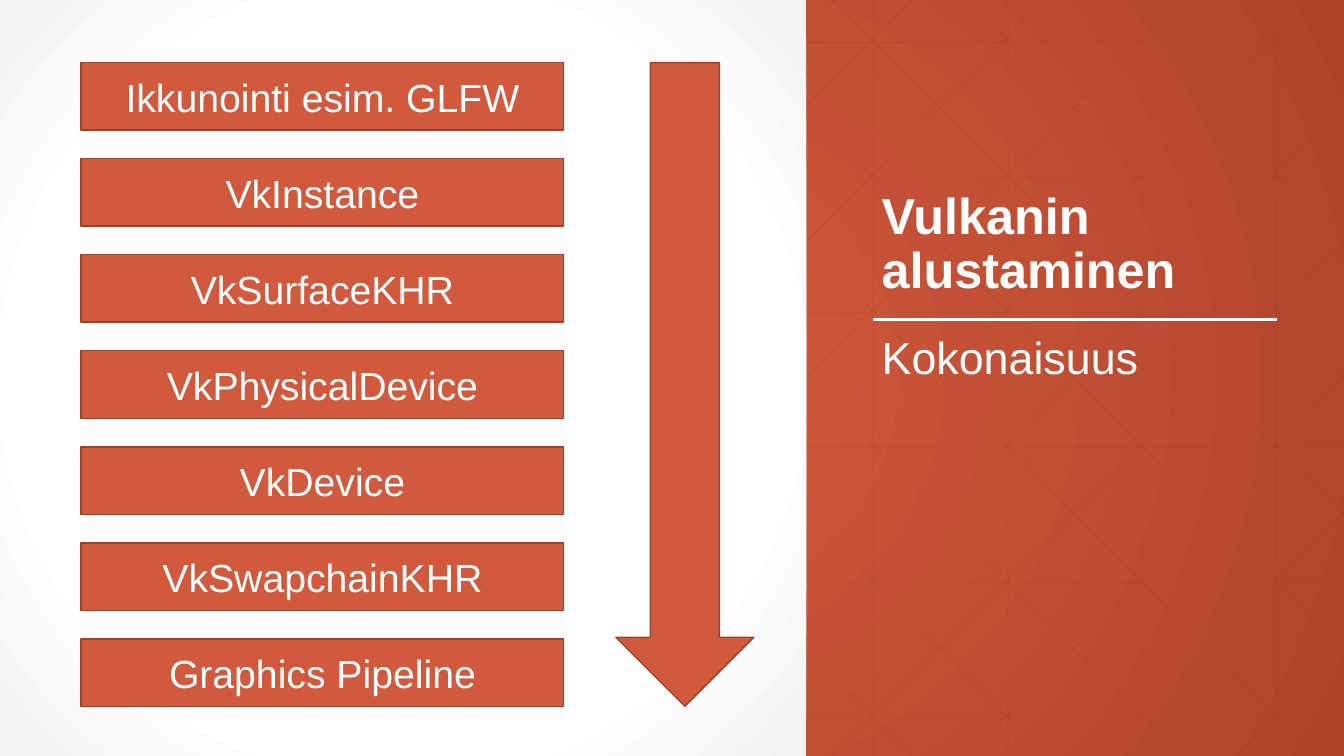
from dataclasses import dataclass

from pptx import Presentation
from pptx.dml.color import RGBColor
from pptx.enum.shapes import MSO_CONNECTOR, MSO_SHAPE
from pptx.enum.text import MSO_ANCHOR, PP_ALIGN
from pptx.oxml import parse_xml
from pptx.oxml.ns import nsdecls, qn
from pptx.util import Cm, Pt

RECT, DOWN_ARROW = MSO_SHAPE.RECTANGLE, MSO_SHAPE.DOWN_ARROW
STRAIGHT = MSO_CONNECTOR.STRAIGHT
TOP, MIDDLE, BOTTOM = MSO_ANCHOR.TOP, MSO_ANCHOR.MIDDLE, MSO_ANCHOR.BOTTOM
LEFT, CENTER = PP_ALIGN.LEFT, PP_ALIGN.CENTER


@dataclass(frozen=True)
class Theme:
    font: str = "Arial"
    accent: str = "D15A3E"
    accent_dark: str = "AF432A"
    outline: str = "9B432E"
    lattice: str = "A43F27"
    white: str = "FFFFFF"
    grey: str = "F2F2F2"
    title: int = 36
    subtitle: int = 32
    step: int = 28


THEME = Theme()
WIDTH, HEIGHT = 33.87, 19.05
PANEL_WIDTH = 20.32
STEPS = [
    "Ikkunointi esim. GLFW",
    "VkInstance",
    "VkSurfaceKHR",
    "VkPhysicalDevice",
    "VkDevice",
    "VkSwapchainKHR",
    "Graphics Pipeline",
]
STEPS_TOP, STEP_PITCH, STEP_HEIGHT = 1.58, 2.42, 1.7


def radial_fill(holder, stops):
    """Replace the solid fill of an element by a circular gradient."""
    marks = "".join(
        f'<a:gs pos="{percent * 1000}"><a:srgbClr val="{color}"/></a:gs>'
        for percent, color in stops
    )
    gradient = parse_xml(
        f'<a:gradFill {nsdecls("a")} rotWithShape="1"><a:gsLst>{marks}</a:gsLst>'
        '<a:path path="circle"><a:fillToRect l="50000" t="50000" r="50000" b="50000"/>'
        "</a:path></a:gradFill>"
    )
    holder.replace(holder.find(qn("a:solidFill")), gradient)


def write(shape, text, *, size, bold=False, align=LEFT, anchor=TOP,
          line_spacing=None, space_before=None):
    frame = shape.text_frame
    frame.word_wrap = True
    frame.vertical_anchor = anchor
    paragraph = frame.paragraphs[0]
    paragraph.alignment = align
    paragraph.line_spacing = line_spacing
    paragraph.space_before = space_before
    run = paragraph.add_run()
    run.text = text
    run.font.name = THEME.font
    run.font.size = Pt(size)
    run.font.bold = bold
    run.font.color.rgb = RGBColor.from_string(THEME.white)


def add_block(slide, kind, left, top, width, height, fill=THEME.accent, outline=THEME.outline):
    block = slide.shapes.add_shape(kind, Cm(left), Cm(top), Cm(width), Cm(height))
    block.shadow.inherit = False
    block.fill.solid()
    block.fill.fore_color.rgb = RGBColor.from_string(fill)
    if outline:
        block.line.color.rgb = RGBColor.from_string(outline)
        block.line.width = Pt(1)
    else:
        block.line.fill.background()
    return block


def add_line(slide, x1, y1, x2, y2, color, weight, opacity=100):
    line = slide.shapes.add_connector(STRAIGHT, Cm(x1), Cm(y1), Cm(x2), Cm(y2))
    line.line.color.rgb = RGBColor.from_string(color)
    line.line.width = Pt(weight)
    properties = line.element.spPr
    properties.append(parse_xml(f'<a:effectLst {nsdecls("a")}/>'))
    if opacity < 100:
        tint = properties.find(".//" + qn("a:srgbClr"))
        tint.append(parse_xml(f'<a:alpha {nsdecls("a")} val="{opacity * 1000}"/>'))


def add_lattice(slide):
    def thread(x1, y1, x2, y2):
        add_line(slide, x1, y1, x2, y2, THEME.lattice, 0.5, opacity=25)

    pitch = WIDTH / 10
    for column in range(6, 10):
        x = (column + 0.5) * pitch
        thread(x, 0, x, HEIGHT)
    for row in range(6):
        y = 1.07 + row * 3.4
        thread(0, y, WIDTH, y)
    # Mirrored diagonals, cut off at the right edge
    full_run = 18.93
    for index in range(9):
        x = 4.05 + index * pitch
        run = min(full_run, WIDTH - x)
        drop = run * HEIGHT / full_run
        thread(x, 0, x + run, drop)
        thread(x, HEIGHT, x + run, HEIGHT - drop)


def add_heading(slide, text, top, height, **text_format):
    heading = slide.shapes.add_textbox(Cm(21.97), Cm(top), Cm(10.16), Cm(height))
    write(heading, text, line_spacing=0.9, **text_format)


def main():
    deck = Presentation()
    deck.slide_width, deck.slide_height = Cm(WIDTH), Cm(HEIGHT)
    slide = deck.slides.add_slide(deck.slide_layouts[6])

    # Backdrop and light panel
    slide.background.fill.solid()
    slide.background.fill.fore_color.rgb = RGBColor.from_string(THEME.accent)
    backdrop = slide.element.find(".//" + qn("p:bgPr"))
    radial_fill(backdrop, [(0, THEME.accent), (100, THEME.accent_dark)])
    add_lattice(slide)
    panel = add_block(slide, RECT, 0, 0, PANEL_WIDTH, HEIGHT, THEME.white, outline=None)
    radial_fill(panel.element.spPr, [(0, THEME.white), (69, THEME.white), (100, THEME.grey)])

    # Heading column
    add_line(slide, 22, 8.05, 32.18, 8.05, THEME.white, 1.5)
    add_heading(slide, "Vulkanin alustaminen", 1.58, 6.1,
                size=THEME.title, bold=True, anchor=BOTTOM)
    add_heading(slide, "Kokonaisuus", 8.33, 6.35,
                size=THEME.subtitle, space_before=Pt(12))

    # Initialisation steps and their direction
    for index, name in enumerate(STEPS):
        step = add_block(slide, RECT, 2.04, STEPS_TOP + index * STEP_PITCH, 12.17, STEP_HEIGHT)
        write(step, name, size=THEME.step, align=CENTER, anchor=MIDDLE)
    steps_height = (len(STEPS) - 1) * STEP_PITCH + STEP_HEIGHT
    add_block(slide, DOWN_ARROW, 15.52, STEPS_TOP, 3.48, steps_height)

    deck.save("out.pptx")


if __name__ == "__main__":
    main()
